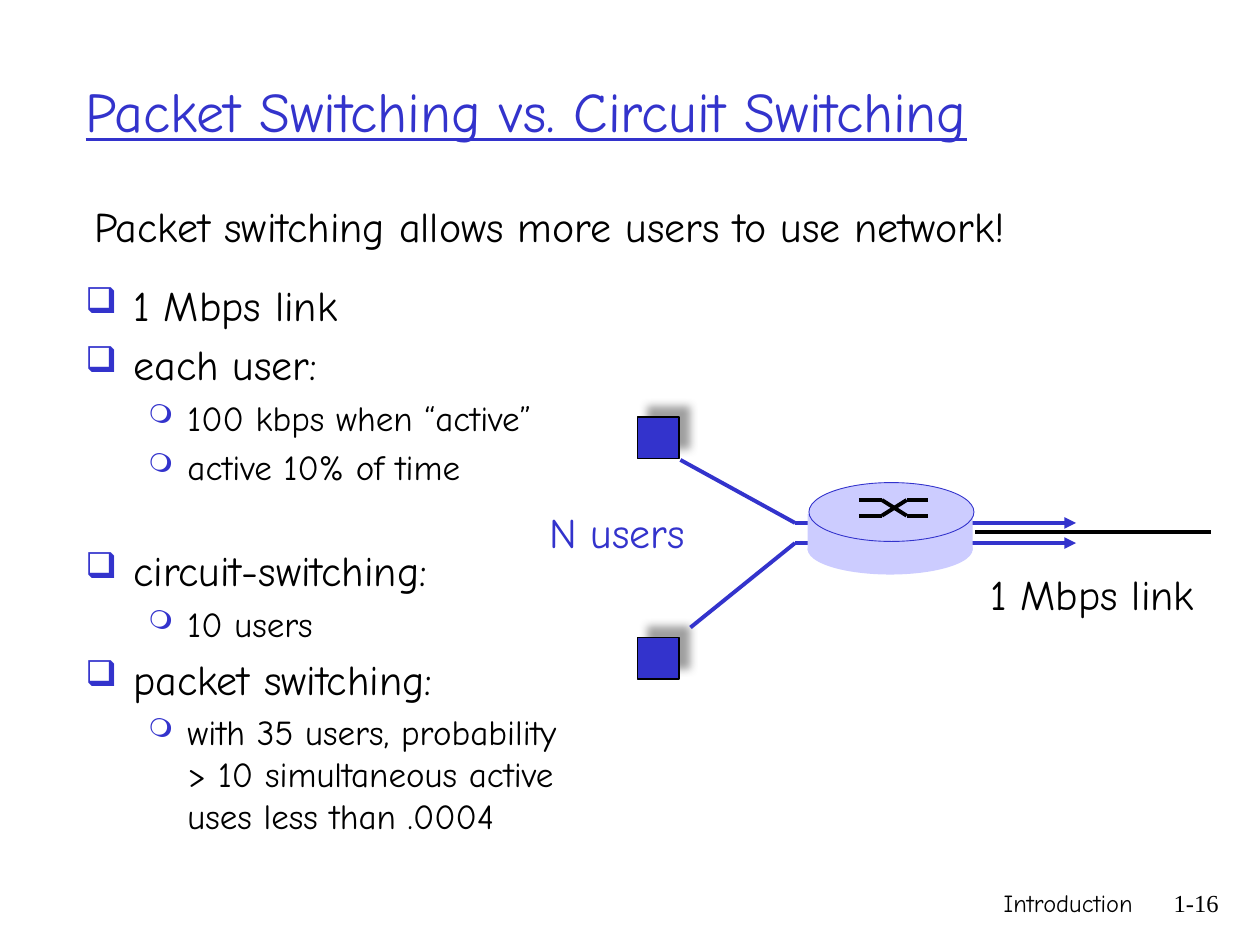
from pptx import Presentation, util as u
from pptx.dml.color import RGBColor
from pptx.enum import shapes, text
from pptx.oxml import parse_xml
from pptx.oxml.ns import nsdecls, qn
from lxml import etree

HEX = {"blue": "3333CC", "pale": "CCCCFF", "black": "000000", "grey": "808080"}
FONT = "Comic Neue"
COLS, ROWS = 100, 75
WIDE, HIGH = u.Inches(10), u.Inches(7.5)
# bullet sign, its size in %, text size, left margin, hang, space before
LEVELS = (("❑", 85, 24, 0.38, 0.38, 5), ("❍", 75, 20, 0.81, 0.31, 4))
GAP = 33  # space before the second half of the list


def col(n):
    return round(WIDE * n / COLS)


def row(n):
    return round(HIGH * n / ROWS)


def rgb(name):
    return RGBColor.from_string(HEX[name])


def place(box):
    x, y, w, h = box
    return col(x), row(y), col(w), row(h)


def style(run, color="black", **form):
    for key, val in {"name": FONT, "size": u.Pt(24), **form}.items():
        setattr(run.font, key, val)
    run.font.color.rgb = rgb(color)


def label(page, box, words, color="black", wrap=True, right=False, **form):
    frame = page.shapes.add_textbox(*place(box)).text_frame
    frame.word_wrap = wrap
    para = frame.paragraphs[0]
    para.alignment = text.PP_ALIGN.RIGHT if right else text.PP_ALIGN.LEFT
    run = para.add_run()
    run.text = words
    style(run, color, **form)


def solid(home, kind, box, fill, line=None, width=0.75):
    item = home.add_shape(kind, *place(box))
    item.shadow.inherit = False
    item.fill.solid()
    item.fill.fore_color.rgb = rgb(fill)
    if line:
        item.line.color.rgb = rgb(line)
        item.line.width = u.Pt(width)
    else:
        item.line.fill.background()
    return item


def wire(home, start, end, color="black", arrow=False):
    item = home.add_connector(shapes.MSO_CONNECTOR.STRAIGHT, col(start[0]),
                              row(start[1]), col(end[0]), row(end[1]))
    item.line.color.rgb = rgb(color)
    item.line.width = u.Pt(2.25)
    if arrow:
        etree.SubElement(item.line._get_or_add_ln(), qn("a:tailEnd"), type="triangle")
    etree.SubElement(item._element.spPr, qn("a:effectLst"))


def heading(page, box, words):
    item = page.shapes.title
    item.left, item.top, item.width, item.height = place(box)
    frame = item.text_frame
    frame.auto_size = text.MSO_AUTO_SIZE.NONE
    frame.vertical_anchor = text.MSO_ANCHOR.MIDDLE
    para = frame.paragraphs[0]
    para.alignment = text.PP_ALIGN.LEFT
    run = para.add_run()
    run.text = words
    style(run, "blue", size=u.Pt(32), underline=True)


def outline(page, box, rows):
    frame = page.shapes.add_textbox(*place(box)).text_frame
    frame.word_wrap = True
    for n, (level, words, *space) in enumerate(rows):
        para = frame.paragraphs[0] if n == 0 else frame.add_paragraph()
        sign, share, size, left, hang, before = LEVELS[level]
        para.level = level
        para.space_before = u.Pt(space[0] if space else before)
        run = para.add_run()
        run.text = words
        style(run, size=u.Pt(size))
        # bullet
        prop = para._p.get_or_add_pPr()
        prop.set("marL", str(u.Inches(left)))
        prop.set("indent", str(-u.Inches(hang)))
        tint = etree.SubElement(prop, qn("a:buClr"))
        etree.SubElement(tint, qn("a:srgbClr"), val=HEX["blue"])
        etree.SubElement(prop, qn("a:buSzPct"), val=str(share * 1000))
        etree.SubElement(prop, qn("a:buChar"), char=sign)


def host(page, box):
    item = solid(page.shapes, shapes.MSO_SHAPE.RECTANGLE, box, "blue", "black")
    spot = item._element.spPr
    spot.remove(spot.find(qn("a:effectLst")))
    spot.append(parse_xml(
        f'<a:effectLst {nsdecls("a")}><a:outerShdw blurRad="{u.Pt(5)}" '
        f'dist="{u.Pt(8.5)}" dir="18900000" algn="ctr" rotWithShape="0">'
        f'<a:srgbClr val="{HEX["grey"]}"><a:alpha val="75000"/></a:srgbClr>'
        '</a:outerShdw></a:effectLst>'))


def router(page, box):
    x, y, w, h = box
    home = page.shapes.add_group_shape().shapes
    kind = shapes.MSO_SHAPE
    # drum: base, side, lid
    solid(home, kind.OVAL, (x, y + 0.45 * h, w, 0.55 * h), "pale")
    solid(home, kind.RECTANGLE, (x, y + 0.34 * h, w, 0.4 * h), "pale")
    solid(home, kind.OVAL, (x + 0.1, y, w, 0.64 * h), "pale", "blue", 0.5)
    # crossed paths on the lid
    xs = [x + w * part for part in (0.31, 0.45, 0.6, 0.73)]
    high, low = y + 0.19 * h, y + 0.36 * h
    for a, b in ((high, low), (low, high)):
        dots = list(zip(xs, (a, a, b, b)))
        for start, end in zip(dots, dots[1:]):
            wire(home, start, end)


def network(page, box):
    x, y, w, h = box
    side = 3.3
    for top in (y, y + h - side):
        host(page, (x, top, side, side))
    # paths from the hosts through the router
    bend, tip = x + 12.5, x + 34.8
    for start, lane in (((x + 3.4, y + 3.4), y + 8.4),
                        ((x + 4.2, y + 16.7), y + 10)):
        wire(page.shapes, start, (bend, lane), "blue")
        wire(page.shapes, (bend, lane), (tip, lane), "blue", True)
    label(page, (x - 8, y + 6.6, 14, 5), "N users", "blue", wrap=False)
    label(page, (x + 27, y + 11.5, 19.2, 5), "1 Mbps link", wrap=False)
    router(page, (x + 13.5, y + 5.2, 13.1, 7.3))
    wire(page.shapes, (x + 26.8, y + 9.1), (x + w, y + 9.1))


def footer(page, box):
    x, y, w, h = box
    split = 31.7
    size = u.Pt(14)
    label(page, (x, y, split, h), "Introduction", right=True, size=size)
    label(page, (x + split, y, w - split, h), "1-16", right=True, size=size,
          name="Times New Roman")


def main():
    deck = Presentation()
    deck.slide_width, deck.slide_height = WIDE, HIGH
    page = deck.slides.add_slide(deck.slide_layouts[5])
    heading(page, (5.8, 2.5, 87.5, 12.5), "Packet Switching vs. Circuit Switching")
    label(page, (6.5, 15.4, 83.3, 6.7),
          "Packet switching allows more users to use network!")
    outline(page, (5.8, 21.7, 41.7, 50.8), (
        (0, "1 Mbps link"),
        (0, "each user:"),
        (1, "100 kbps when “active”"),
        (1, "active 10% of time"),
        (0, "circuit-switching:", GAP),
        (1, "10 users"),
        (0, "packet switching:"),
        (1, "with 35 users, probability > 10 simultaneous active uses less than .0004"),
    ))
    network(page, (50.6, 33.1, 45.5, 20.8))
    footer(page, (59.2, 70, 38.5, 5))
    deck.save("out.pptx")


if __name__ == "__main__":
    main()
